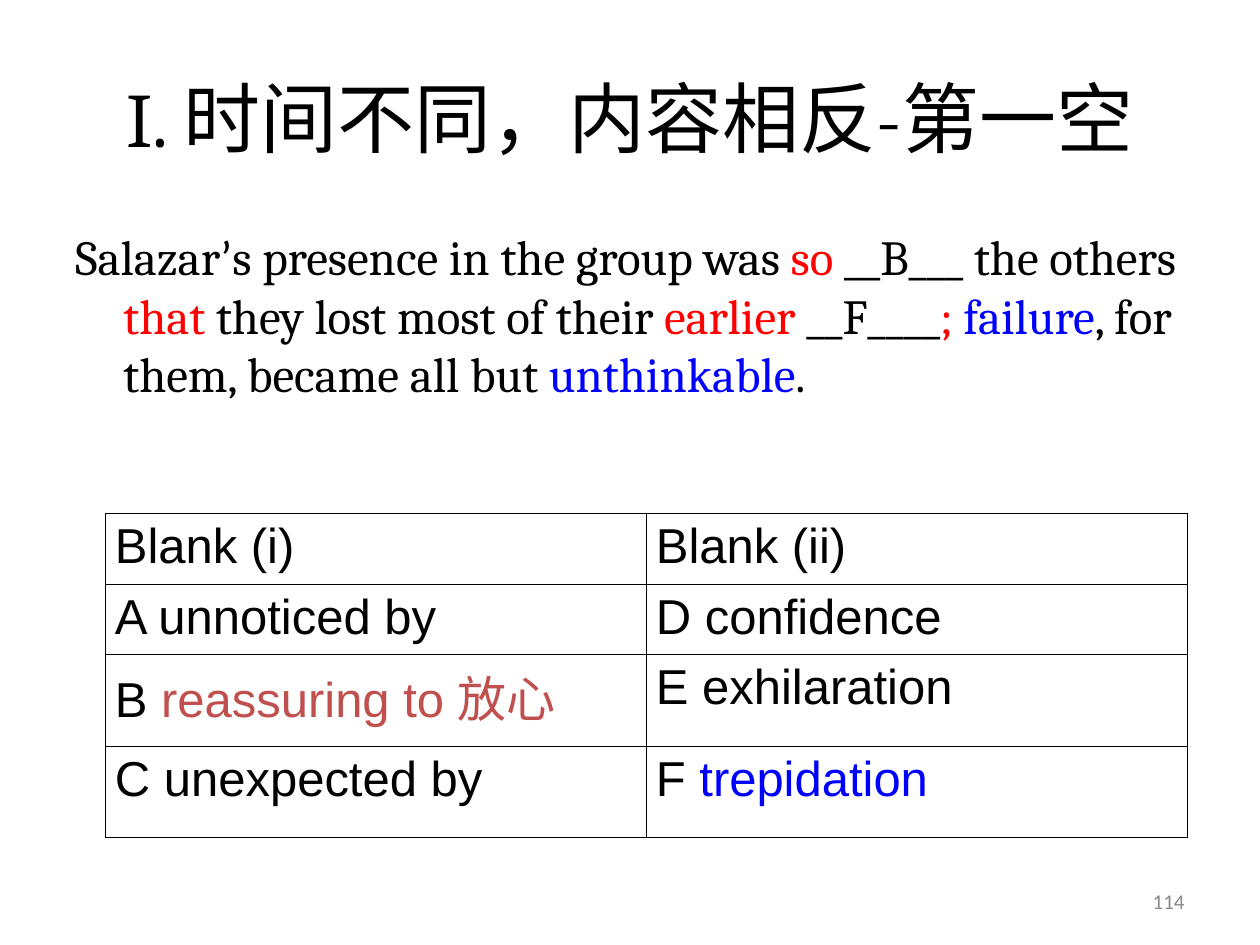
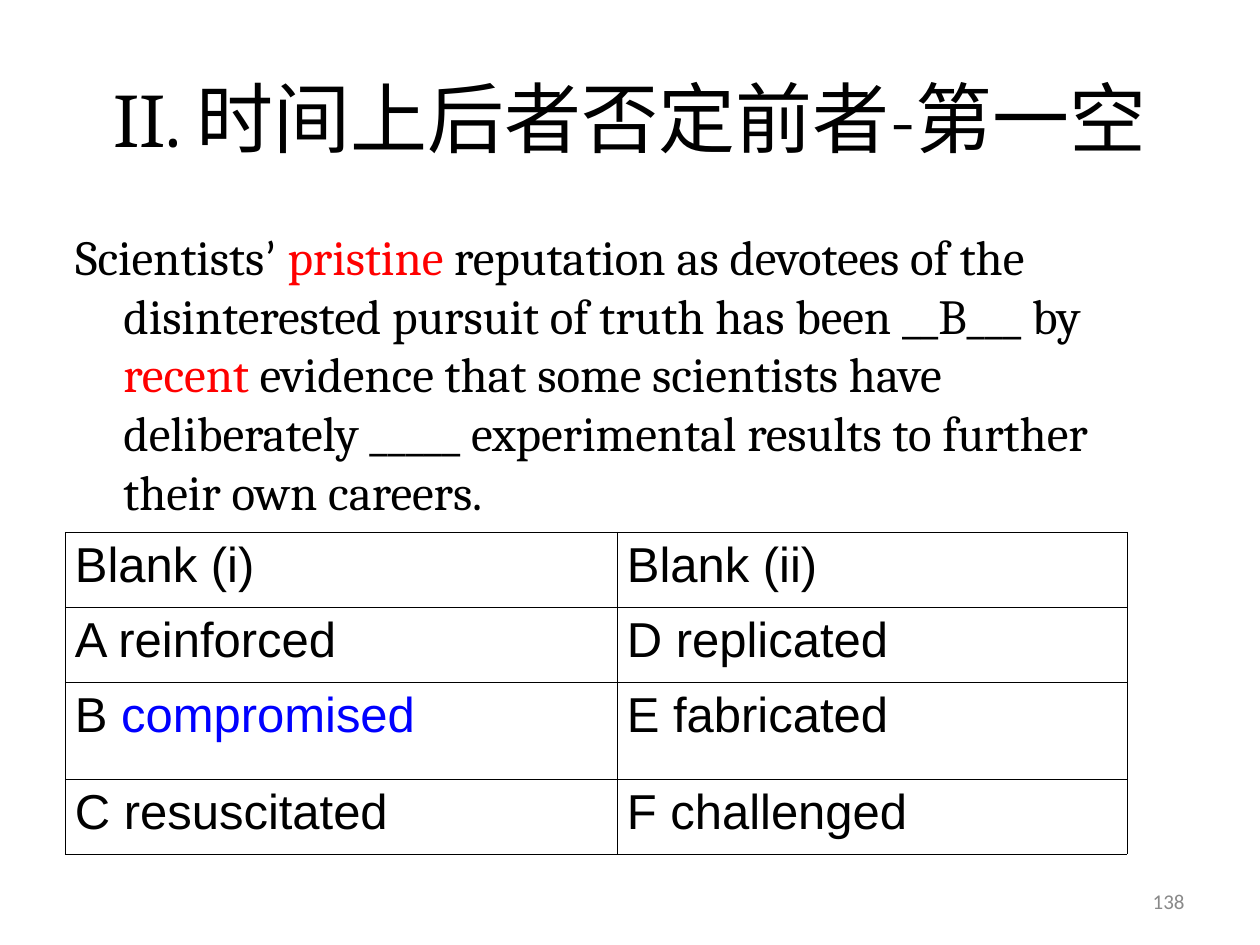
import pptx
import pptx.util
import pptx.dml.color
import pptx.enum.text
from lxml import etree

PX = 914400 // 126
BLACK, RED, BLUE, BRICK, GREY = "000000", "FF0000", "0000FF", "C0504D", "898989"
ALIGN = pptx.enum.text.PP_ALIGN
ANCHOR = pptx.enum.text.MSO_ANCHOR
A = "http://schemas.openxmlformats.org/drawingml/2006/main"


def color(value):
    return pptx.dml.color.RGBColor.from_string(value)


def write(tf, runs, size, font, fill=BLACK, align=ALIGN.LEFT, anchor=ANCHOR.TOP, hang=0):
    """Fill a text frame; each run is a string or (string, colour[, font])."""
    tf.word_wrap = True
    tf.vertical_anchor = anchor
    p = tf.paragraphs[0]
    p.alignment = align
    if hang:
        pPr = p._p.get_or_add_pPr()
        pPr.set("marL", str(hang * PX))
        pPr.set("indent", str(-hang * PX))
    for run in [runs] if isinstance(runs, str) else runs:
        text, run_fill, run_font = (((run,) if isinstance(run, str) else run) + (fill, font)[-2:])[:3] \
            if isinstance(run, str) else (run + (font,))[:3]
        r = p.add_run()
        r.text = text
        r.font.size = pptx.util.Pt(size)
        r.font.name = run_font
        r.font.color.rgb = color(run_fill)


slides = [
    dict(
        title="I. 时间不同，内容相反-第一空", number="114", body_width=1163,
        sentence=["Salazar", ("’", BLACK, "Calibri"), "s presence in the group was", (" so ", RED),
                  "__B___ the others", (" that", RED), " they lost most of their ",
                  ("earlier", RED), " __F____", ("; ", RED), ("failure", BLUE),
                  ", for them, became all but ", ("unthinkable", BLUE), "."],
        table_at=(105, 513), columns=[541, 541], rows=[60, 60, 92, 91],
        cells=[["Blank (i)", "Blank (ii)"],
               ["A unnoticed by", "D confidence"],
               [["B", (" reassuring to 放心", BRICK)], "E exhilaration"],
               ["C unexpected by", ["F ", ("trepidation", BLUE)]]],
    ),
    dict(
        title="II. 时间上后者否定前者-第一空", number="138", body_width=1123,
        sentence=["Scientists", ("’ ", BLACK, "Calibri"), ("pristine", RED),
                  " reputation as devotees of the disinterested pursuit of truth has been __B___ by",
                  (" recent ", RED),
                  "evidence that some scientists have deliberately _____ experimental results "
                  "to further their own careers."],
        table_at=(65, 532), columns=[552, 510], rows=[75, 75, 97, 75],
        cells=[["Blank (i)", "Blank (ii)"],
               ["A reinforced", "D replicated"],
               [["B ", ("compromised", BLUE)], "E fabricated"],
               ["C resuscitated", "F challenged"]],
    ),
]

prs = pptx.Presentation()
prs.slide_width, prs.slide_height = 1260 * PX, 945 * PX

for content in slides:
    s = prs.slides.add_slide(prs.slide_layouts[6])

    # Page number, sentence and title
    boxes = [
        ((903, 876, 294, 50), content["number"],
         dict(size=12, font="Calibri", fill=GREY, align=ALIGN.RIGHT, anchor=ANCHOR.MIDDLE)),
        ((63, 220, content["body_width"], 624), content["sentence"],
         dict(size=28, font="Cambria", hang=48)),
        ((63, 38, 1134, 157), content["title"],
         dict(size=44, font="Cambria", align=ALIGN.CENTER, anchor=ANCHOR.MIDDLE)),
    ]
    for place, runs, style in boxes:
        sp = s.shapes.add_textbox(*(v * PX for v in place))
        write(sp.text_frame, runs, **style)

    # Answer table
    left, top = content["table_at"]
    columns, rows = content["columns"], content["rows"]
    table = s.shapes.add_table(len(rows), len(columns), left * PX, top * PX,
                               sum(columns) * PX, sum(rows) * PX).table
    table.first_row = table.horz_banding = False
    for column, width in zip(table.columns, columns):
        column.width = width * PX
    for row, height, texts in zip(table.rows, rows, content["cells"]):
        row.height = height * PX
        for cell, runs in zip(row.cells, texts):
            write(cell.text_frame, runs, size=28, font="Arial", align=ALIGN.JUSTIFY)
            cell.margin_left = cell.margin_right = 10 * PX
            cell.margin_top = cell.margin_bottom = 6 * PX
            # Hairline on every side, placed before the fill
            tcPr = cell._tc.get_or_add_tcPr()
            for side in ("lnL", "lnR", "lnT", "lnB"):
                ln = etree.SubElement(tcPr, f"{{{A}}}{side}", w=str(pptx.util.Pt(0.11)))
                solid = etree.SubElement(ln, f"{{{A}}}solidFill")
                etree.SubElement(solid, f"{{{A}}}srgbClr", val=BLACK)
            cell.fill.background()

prs.save("out.pptx")
